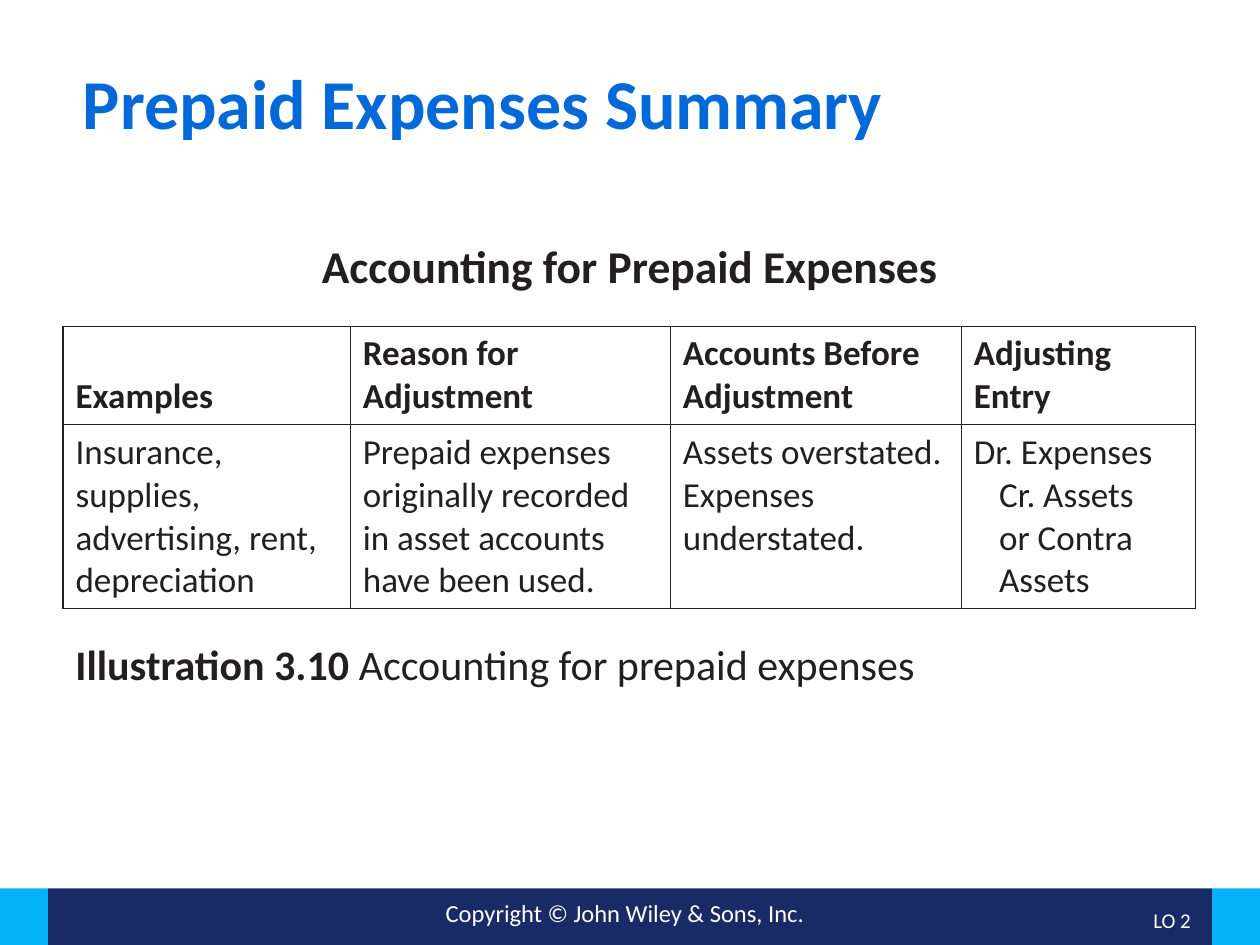
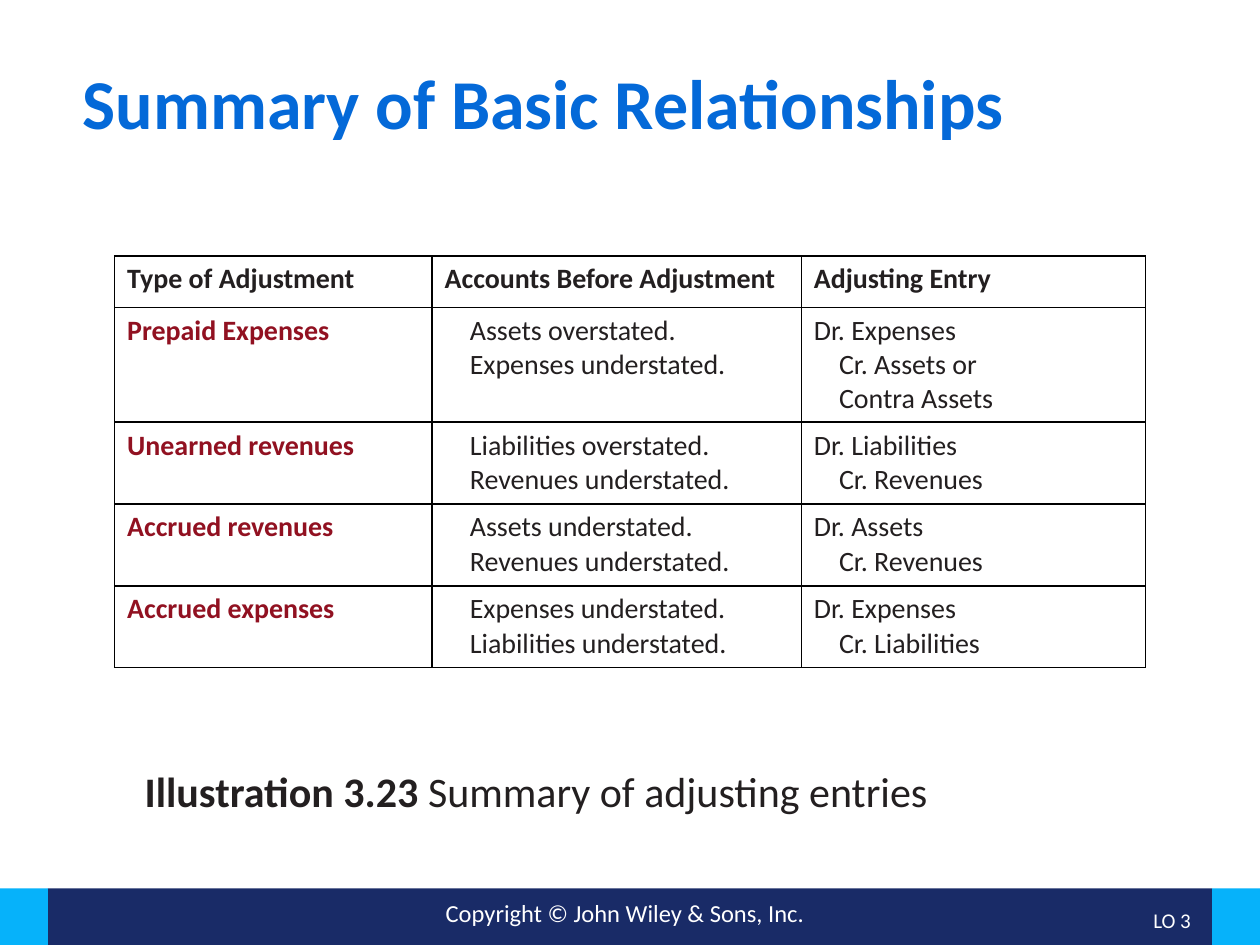
from collections import namedtuple
from dataclasses import dataclass

from lxml import etree
from pptx import Presentation
from pptx.dml.color import RGBColor
from pptx.enum.shapes import MSO_SHAPE
from pptx.enum.text import MSO_ANCHOR, PP_ALIGN
from pptx.oxml.ns import qn
from pptx.util import Inches, Pt

RECT = MSO_SHAPE.RECTANGLE
TOP, MIDDLE, BOTTOM = MSO_ANCHOR.TOP, MSO_ANCHOR.MIDDLE, MSO_ANCHOR.BOTTOM
LEFT, CENTER, RIGHT = PP_ALIGN.LEFT, PP_ALIGN.CENTER, PP_ALIGN.RIGHT

Box = namedtuple("Box", "x y w h")


@dataclass(frozen=True)
class Theme:
    font: str = "Calibri"
    ink: str = "231F20"
    blue: str = "0469D8"
    navy: str = "192B67"
    sky: str = "06B2FA"
    red: str = "911121"
    white: str = "FFFFFF"
    black: str = "000000"
    title: int = 40
    head: int = 26
    note: int = 24
    copy: int = 14
    goal: int = 12
    rule: int = 1


T = Theme()
PAGE = Box(0, 0, 10, 7.5)
FOOT = Box(0, 7.05, 10, 0.45)
TITLE = Box(0.56, 0.5, 8.88, 0.93)


def write(frame, lines, size, color=T.ink, bold=False, align=LEFT,
          lead="", flush=None, pitch=None):
    frame.word_wrap = True
    for i, line in enumerate(lines):
        para = frame.paragraphs[0] if i == 0 else frame.add_paragraph()
        para.alignment = align
        if pitch:
            para.line_spacing = pitch
        if flush is not None and i >= flush:
            para._p.get_or_add_pPr().set("marL", str(Inches(0.2)))
        parts = [(line, bold)]
        if lead and i == 0:
            parts.insert(0, (lead, True))
        for text, heavy in parts:
            run = para.add_run()
            run.text = text
            run.font.name = T.font
            run.font.size = Pt(size)
            run.font.bold = heavy
            run.font.color.rgb = RGBColor.from_string(color)


def label(slide, box, text, size, anchor=TOP, **style):
    shape = slide.shapes.add_textbox(*map(Inches, box))
    shape.text_frame.vertical_anchor = anchor
    write(shape.text_frame, [text], size, **style)


def band(slide, box, color):
    shape = slide.shapes.add_shape(RECT, *map(Inches, box))
    shape.shadow.inherit = False
    shape.fill.solid()
    shape.fill.fore_color.rgb = RGBColor.from_string(color)
    shape.line.fill.background()


def footer(slide, box, goal):
    side = 0.38
    band(slide, Box(box.x + side, box.y, box.w - 2 * side, box.h), T.navy)
    for x in (box.x, box.x + box.w - side):
        band(slide, Box(x, box.y, side, box.h), T.sky)
    label(slide, Box(box.x + 2.5, box.y + 0.03, 4.92, 0.34),
          "Copyright © John Wiley & Sons, Inc.", T.copy,
          color=T.white, align=CENTER)
    label(slide, Box(box.x + 8.73, box.y + 0.05, 0.82, 0.4), goal, T.goal,
          anchor=MIDDLE, color=T.white, align=RIGHT)


def border(cell, color):
    props = cell._tc.get_or_add_tcPr()
    for side in ("lnL", "lnR", "lnT", "lnB"):
        line = etree.SubElement(props, qn("a:" + side), w=str(Pt(T.rule)))
        fill = etree.SubElement(line, qn("a:solidFill"))
        etree.SubElement(fill, qn("a:srgbClr"), val=color)
    cell.fill.background()


def grid(slide, x, y, cols, rows, cells, size, line, anchor=TOP,
         key=None, flush=()):
    shape = slide.shapes.add_table(
        len(rows), len(cols), Inches(x), Inches(y),
        Inches(sum(cols)), Inches(sum(rows)))
    table = shape.table
    table.horz_banding = False
    for col, width in zip(table.columns, cols):
        col.width = Inches(width)
    for row, height in zip(table.rows, rows):
        row.height = Inches(height)
    offsets = dict(flush)
    for r, texts in enumerate(cells):
        for c, text in enumerate(texts):
            cell = table.cell(r, c)
            border(cell, line)
            cell.vertical_anchor = anchor if r == 0 else TOP
            named = key and r > 0 and c == 0
            write(cell.text_frame, text.split("\n"), size,
                  color=key if named else T.ink,
                  bold=bool(r == 0 or named),
                  flush=offsets.get(c) if r else None)


def page(deck, title, goal):
    slide = deck.slides.add_slide(deck.slide_layouts[6])
    footer(slide, FOOT, goal)
    label(slide, TITLE, title, T.title, color=T.blue, bold=True, pitch=0.9)
    return slide


def prepaid(deck, box):
    slide = page(deck, "Prepaid Expenses Summary", "LO 2")
    label(slide, Box(box.x + 0.56, box.y + 1.84, 8.88, 0.51),
          "Accounting for Prepaid Expenses", T.head, bold=True, align=CENTER)
    cells = [
        ("Examples", "Reason for Adjustment", "Accounts Before Adjustment",
         "Adjusting Entry"),
        ("Insurance, supplies, advertising, rent, depreciation",
         "Prepaid expenses originally recorded in asset accounts "
         "have been used.",
         "Assets overstated.\nExpenses understated.",
         "Dr. Expenses\nCr. Assets\nor Contra\nAssets"),
    ]
    grid(slide, box.x + 0.5, box.y + 2.59, (2.28, 2.54, 2.31, 1.86),
         (0.78, 1.46), cells, 20, T.ink, anchor=BOTTOM, flush={3: 1})
    label(slide, Box(box.x + 0.5, box.y + 5.02, 8.79, 0.64),
          "Accounting for prepaid expenses", T.note,
          lead="Illustration 3.10 ")


def basics(deck, box):
    slide = page(deck, "Summary of Basic Relationships", "LO 3")
    cells = [
        ("Type of Adjustment", "Accounts Before Adjustment",
         "Adjusting Entry"),
        ("Prepaid Expenses", "Assets overstated.\nExpenses understated.",
         "Dr. Expenses\nCr. Assets or\nContra Assets"),
        ("Unearned revenues",
         "Liabilities overstated.\nRevenues understated.",
         "Dr. Liabilities\nCr. Revenues"),
        ("Accrued revenues", "Assets understated.\nRevenues understated.",
         "Dr. Assets\nCr. Revenues"),
        ("Accrued expenses",
         "Expenses understated.\nLiabilities understated.",
         "Dr. Expenses\nCr. Liabilities"),
    ]
    grid(slide, box.x + 0.91, box.y + 2.03, (2.52, 2.93, 2.73),
         (0.41, 0.91, 0.65, 0.65, 0.65), cells, 16, T.black,
         key=T.red, flush={1: 0, 2: 1})
    label(slide, Box(box.x + 1.05, box.y + 6.03, 7.99, 0.54),
          "Summary of adjusting entries", T.note,
          lead="Illustration 3.23 ")


def main():
    deck = Presentation()
    deck.slide_width = Inches(PAGE.w)
    deck.slide_height = Inches(PAGE.h)
    prepaid(deck, PAGE)
    basics(deck, PAGE)
    deck.save("out.pptx")


if __name__ == "__main__":
    main()
